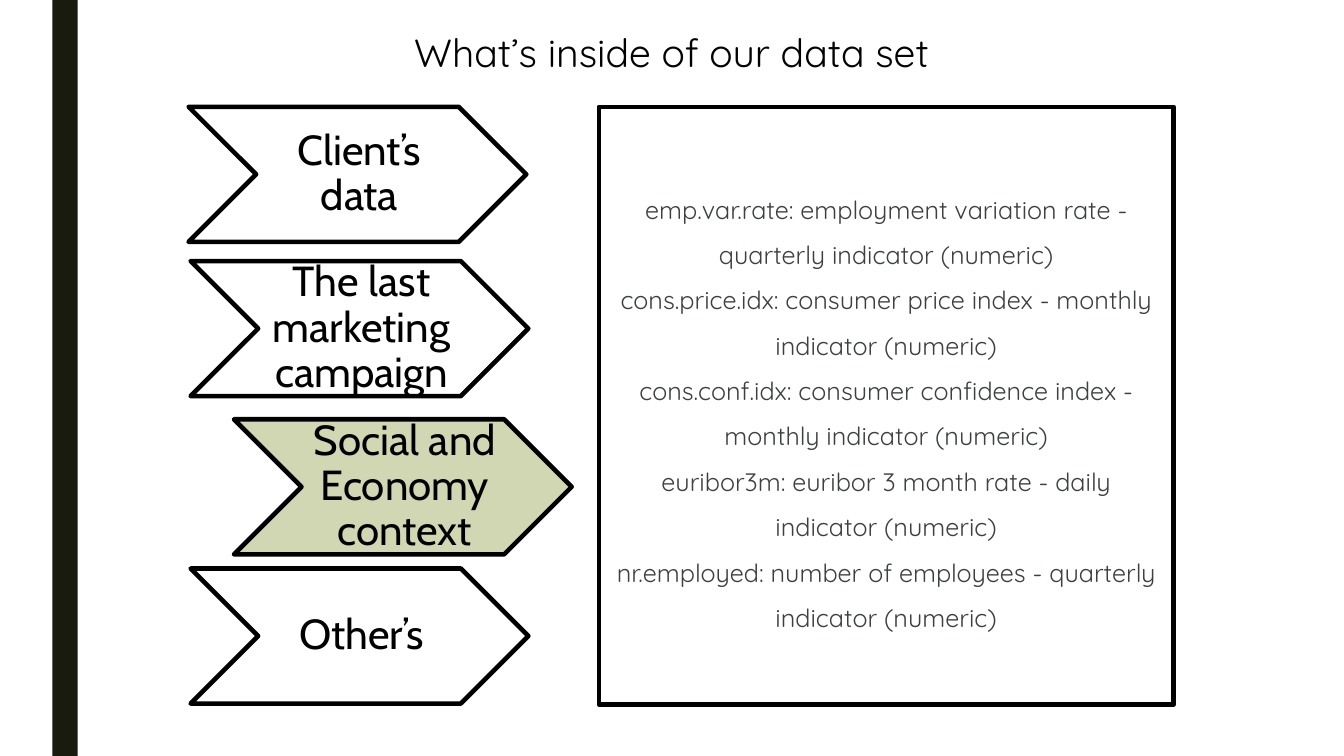
from pptx import Presentation
from pptx.dml.color import RGBColor
from pptx.enum import shapes, text
from pptx.util import Inches, Pt

BLACK = RGBColor(0x00, 0x00, 0x00)
WHITE = RGBColor(0xFF, 0xFF, 0xFF)
SIDEBAR = RGBColor(0x19, 0x1B, 0x0E)
HIGHLIGHT = RGBColor(0xD1, 0xD7, 0xB2)
GREY = RGBColor(0x3C, 0x40, 0x43)

TITLE = "What’s inside of our data set"
TOPICS = [
    ("Client’s data", 1.87, 1.06, WHITE),
    ("The last marketing campaign", 1.89, 2.59, WHITE),
    ("Social and Economy context", 2.32, 4.16, HIGHLIGHT),
    ("Other’s", 1.89, 5.64, WHITE),
]
INDICATORS = [
    "emp.var.rate: employment variation rate - quarterly indicator (numeric)",
    "cons.price.idx: consumer price index - monthly indicator (numeric)",
    "cons.conf.idx: consumer confidence index - monthly indicator (numeric)",
    "euribor3m: euribor 3 month rate - daily indicator (numeric)",
    "nr.employed: number of employees - quarterly indicator (numeric)",
]


def add_box(slide, kind, left, top, width, height, fill, outlined=True):
    sp = slide.shapes.add_shape(
        kind, Inches(left), Inches(top), Inches(width), Inches(height))
    sp.shadow.inherit = False
    sp.fill.solid()
    sp.fill.fore_color.rgb = fill
    if outlined:
        sp.line.color.rgb = BLACK
        sp.line.width = Pt(3.25)
    else:
        sp.line.fill.background()
    return sp


def write(tf, lines, font, size, color, spacing=1.0):
    """Fill a text frame with centred paragraphs, one per line."""
    tf.word_wrap = True
    for i, line in enumerate(lines):
        p = tf.add_paragraph() if i else tf.paragraphs[0]
        p.alignment = text.PP_ALIGN.CENTER
        p.line_spacing = spacing
        r = p.add_run()
        r.text = line
        r.font.name = font
        r.font.size = Pt(size)
        r.font.color.rgb = color


def add_title(slide):
    sp = slide.shapes.title
    sp.left, sp.top = Inches(1.24), Inches(0.23)
    sp.width, sp.height = Inches(10.84), Inches(0.57)
    tf = sp.text_frame
    tf.vertical_anchor = text.MSO_ANCHOR.TOP
    tf.auto_size = text.MSO_AUTO_SIZE.SHAPE_TO_FIT_TEXT
    write(tf, [TITLE], "Quicksand", 28, BLACK)


def add_topic(slide, label, left, top, fill):
    sp = add_box(slide, shapes.MSO_SHAPE.CHEVRON, left, top, 3.35, 1.34, fill)
    tf = sp.text_frame
    tf.margin_left, tf.margin_right = Inches(0.04), Inches(0)
    tf.margin_top = tf.margin_bottom = Inches(0.02)
    tf.vertical_anchor = text.MSO_ANCHOR.MIDDLE
    write(tf, [label], "Cabin", 30, BLACK, 0.9)


def add_indicators(slide):
    sp = add_box(slide, shapes.MSO_SHAPE.RECTANGLE, 5.94, 1.06, 5.7, 5.93, WHITE)
    sp.text_frame.vertical_anchor = text.MSO_ANCHOR.MIDDLE
    write(sp.text_frame, INDICATORS, "Quicksand", 18, GREY, 1.5)


def main():
    prs = Presentation()
    prs.slide_width, prs.slide_height = Inches(13.33), Inches(7.5)
    slide = prs.slides.add_slide(prs.slide_layouts.get_by_name("Title Only"))
    add_box(slide, shapes.MSO_SHAPE.RECTANGLE, 0.52, 0, 0.25, 7.5, SIDEBAR,
            outlined=False)
    add_title(slide)
    for topic in TOPICS:
        add_topic(slide, *topic)
    add_indicators(slide)
    prs.save("out.pptx")


if __name__ == "__main__":
    main()
